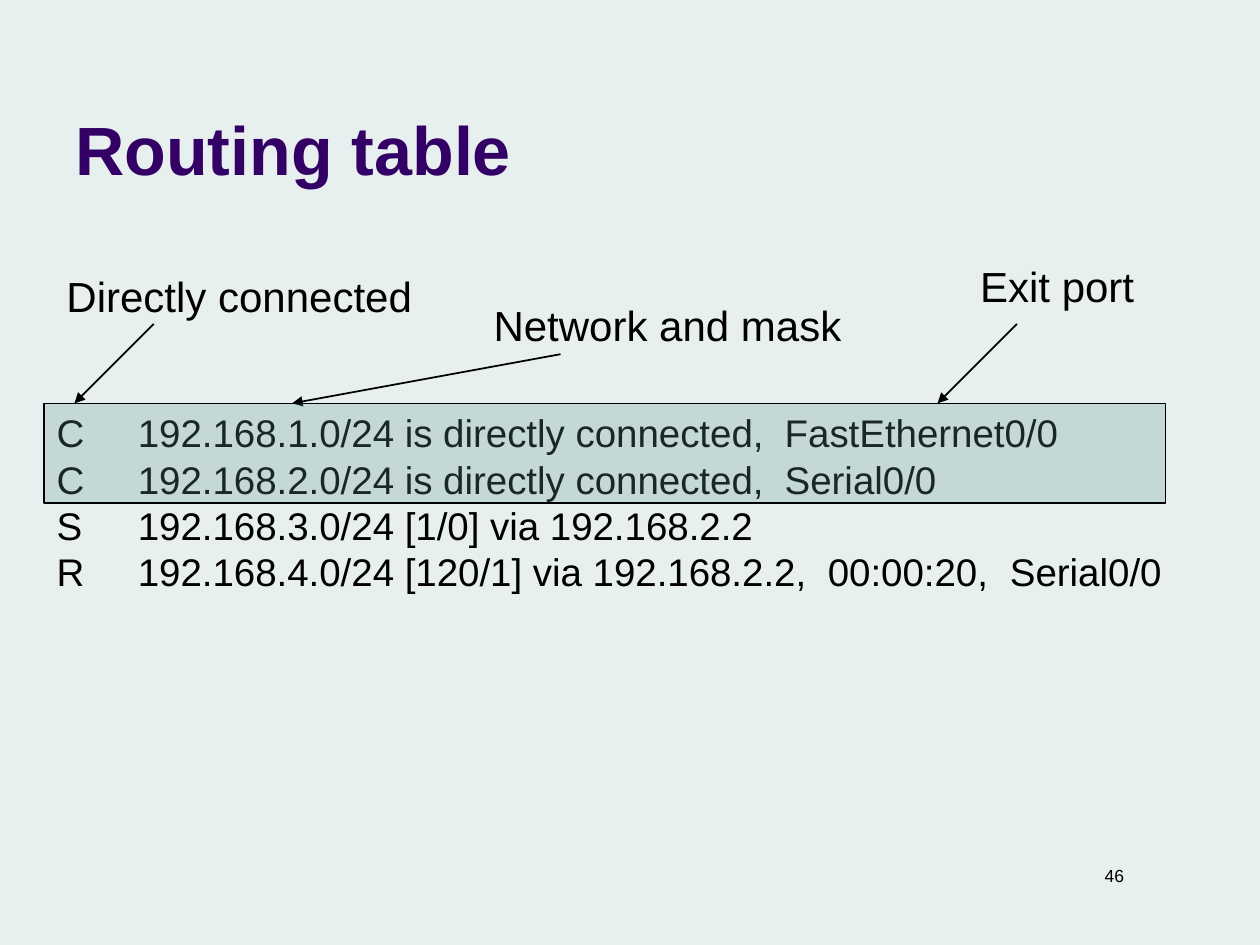
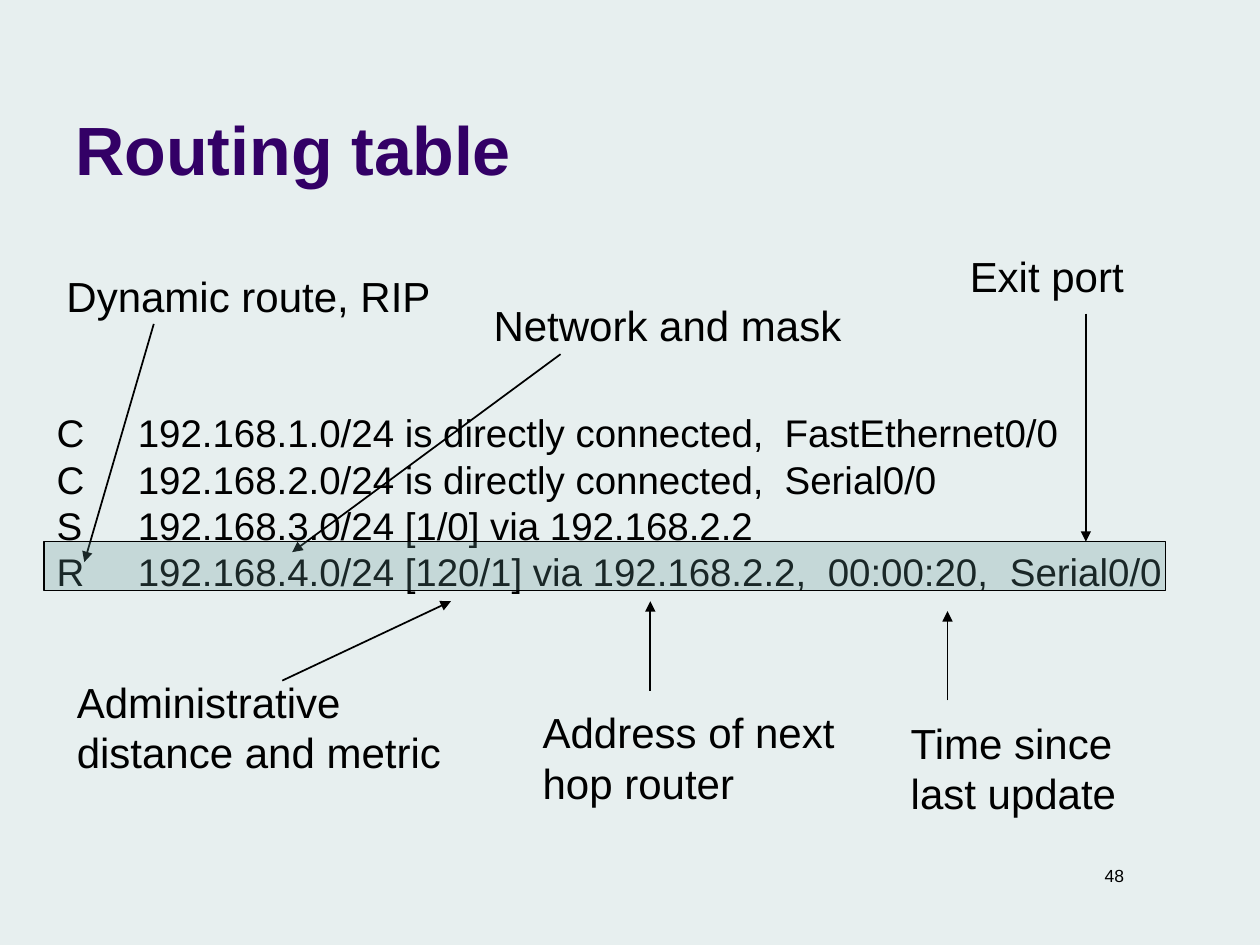
from dataclasses import dataclass

from lxml import etree
from pptx import Presentation
from pptx import util as u
from pptx.dml.color import RGBColor
from pptx.enum import shapes, text
from pptx.oxml.ns import qn
from pptx.slide import Slide

COLOURS = {
    "background": "E7EFEF",
    "title": "330066",
    "ink": "000000",
    "highlight": "669999",
}
FONT = "Arial"
HIGHLIGHT_OPACITY = 26  # percent

# Routing table place and tab stops, in cm
TABLE_LEFT, TABLE_TOP = 0.89, 8.13
NETWORK_TAB = 1.64
LABEL_SIZE, LABEL_WIDTH = 24, 8


@dataclass
class Line:
    """One paragraph; tabs are the stops in cm."""
    wording: str
    tabs: tuple[float, ...] = ()


@dataclass
class Label:
    wording: str
    left: float
    top: float
    width: float = LABEL_WIDTH
    lines: int = 1


@dataclass
class Arrow:
    start: tuple[float, float]
    end: tuple[float, float]


@dataclass
class RouteSlide:
    number: int
    highlight_top: float
    highlight_height: float
    labels: list[Label]
    arrows: list[Arrow]


ROUTES = [
    Line("C\t192.168.1.0/24 is directly connected,\tFastEthernet0/0", (NETWORK_TAB, 14.68)),
    Line("C\t192.168.2.0/24 is directly connected,\tSerial0/0", (NETWORK_TAB, 14.68)),
    Line("S\t192.168.3.0/24 [1/0] via 192.168.2.2", (NETWORK_TAB,)),
    Line("R\t192.168.4.0/24 [120/1] via 192.168.2.2,\t00:00:20,\tSerial0/0",
         (NETWORK_TAB, 15.55, 19.22)),
]
NETWORK_LABEL = Label("Network and mask", 9.7, 5.92)

SLIDES = [
    RouteSlide(
        46, TABLE_TOP, 2.01,
        [Label("Directly connected", 1.09, 5.33),
         NETWORK_LABEL,
         Label("Exit port", 19.51, 5.13, 4.19)],
        [Arrow((3.1, 6.53), (1.5, TABLE_TOP)),
         Arrow((11.3, 7.14), (5.89, TABLE_TOP)),
         Arrow((20.5, 6.53), (18.9, TABLE_TOP))],
    ),
    RouteSlide(
        48, 10.92, 0.99,
        [Label("Dynamic route, RIP", 1.09, 5.33),
         NETWORK_LABEL,
         Label("Administrative distance and metric", 1.3, 13.51, lines=2),
         Label("Address of next hop router", 10.69, 14.12, lines=2),
         Label("Time since last update", 18.11, 14.33, 5, 2),
         Label("Exit port", 19.3, 4.93, 5)],
        [Arrow((3.1, 6.53), (1.7, 11.33)),
         Arrow((11.3, 7.14), (5.89, 11.13)),
         Arrow((5.69, 13.72), (9.09, 12.12)),
         Arrow((13.11, 13.92), (13.11, 12.12)),
         Arrow((19.1, 14.12), (19.1, 12.32)),
         Arrow((21.89, 6.32), (21.89, 10.92))],
    ),
]


def colour(name: str) -> RGBColor:
    return RGBColor.from_string(COLOURS[name])


def add_text(slide: Slide, lines: list[Line], left: float, top: float, width: float,
             height: float, size: float, ink: str = "ink", bold: bool = False,
             align=text.PP_ALIGN.LEFT, anchor=text.MSO_ANCHOR.TOP,
             space_before: float = 0) -> None:
    box = slide.shapes.add_textbox(u.Cm(left), u.Cm(top), u.Cm(width), u.Cm(height))
    frame = box.text_frame
    frame.word_wrap = True
    frame.vertical_anchor = anchor
    for index, line in enumerate(lines):
        paragraph = frame.add_paragraph() if index else frame.paragraphs[0]
        paragraph.text = line.wording
        paragraph.alignment = align
        paragraph.space_before = u.Pt(space_before)
        if line.tabs:
            properties = paragraph._p.get_or_add_pPr()
            stops = etree.SubElement(properties, qn("a:tabLst"))
            for stop in line.tabs:
                etree.SubElement(stops, qn("a:tab"), pos=str(u.Cm(stop)), algn="l")
        font = paragraph.font
        font.name, font.size, font.bold = FONT, u.Pt(size), bold
        font.color.rgb = colour(ink)


def add_arrow(slide: Slide, arrow: Arrow) -> None:
    points = [u.Cm(value) for value in (*arrow.start, *arrow.end)]
    connector = slide.shapes.add_connector(shapes.MSO_CONNECTOR.STRAIGHT, *points)
    connector.line.color.rgb = colour("ink")
    connector.line.width = u.Pt(1)
    outline = connector.line._get_or_add_ln()
    etree.SubElement(outline, qn("a:tailEnd"), type="triangle", w="med", len="med")
    etree.SubElement(connector._element.spPr, qn("a:effectLst"))


def add_highlight(slide: Slide, top: float, height: float) -> None:
    band = slide.shapes.add_shape(shapes.MSO_SHAPE.RECTANGLE, u.Cm(TABLE_LEFT), u.Cm(top),
                                  u.Cm(22.61), u.Cm(height))
    band.shadow.inherit = False
    band.fill.solid()
    band.fill.fore_color.rgb = colour("highlight")
    tint = band._element.spPr.find(qn("a:solidFill")).find(qn("a:srgbClr"))
    etree.SubElement(tint, qn("a:alpha"), val=str(HIGHLIGHT_OPACITY * 1000))
    band.line.color.rgb = colour("ink")
    band.line.width = u.Pt(0.75)


def build_slide(presentation, content: RouteSlide) -> None:
    slide = presentation.slides.add_slide(presentation.slide_layouts[6])
    slide.background.fill.solid()
    slide.background.fill.fore_color.rgb = colour("background")

    # Page number and title
    add_text(slide, [Line(str(content.number))], 17.7, 17.32, 5.21, 0.69, 10,
             align=text.PP_ALIGN.RIGHT, space_before=6.2)
    add_text(slide, [Line("Routing table")], 1.27, 0.33, 20.96, 3.61, 39, "title",
             bold=True, anchor=text.MSO_ANCHOR.BOTTOM)

    # Routes with their explanations
    add_text(slide, ROUTES, TABLE_LEFT, TABLE_TOP, 23.8, 3.99, 22)
    for label in content.labels:
        add_text(slide, [Line(label.wording)], label.left, label.top, label.width,
                 0.25 + 1.02 * label.lines, LABEL_SIZE)
    for arrow in content.arrows:
        add_arrow(slide, arrow)

    # Translucent band over the explained routes
    add_highlight(slide, content.highlight_top, content.highlight_height)


presentation = Presentation()
presentation.slide_width, presentation.slide_height = u.Cm(25.4), u.Cm(19.05)
for content in SLIDES:
    build_slide(presentation, content)
presentation.save("out.pptx")
